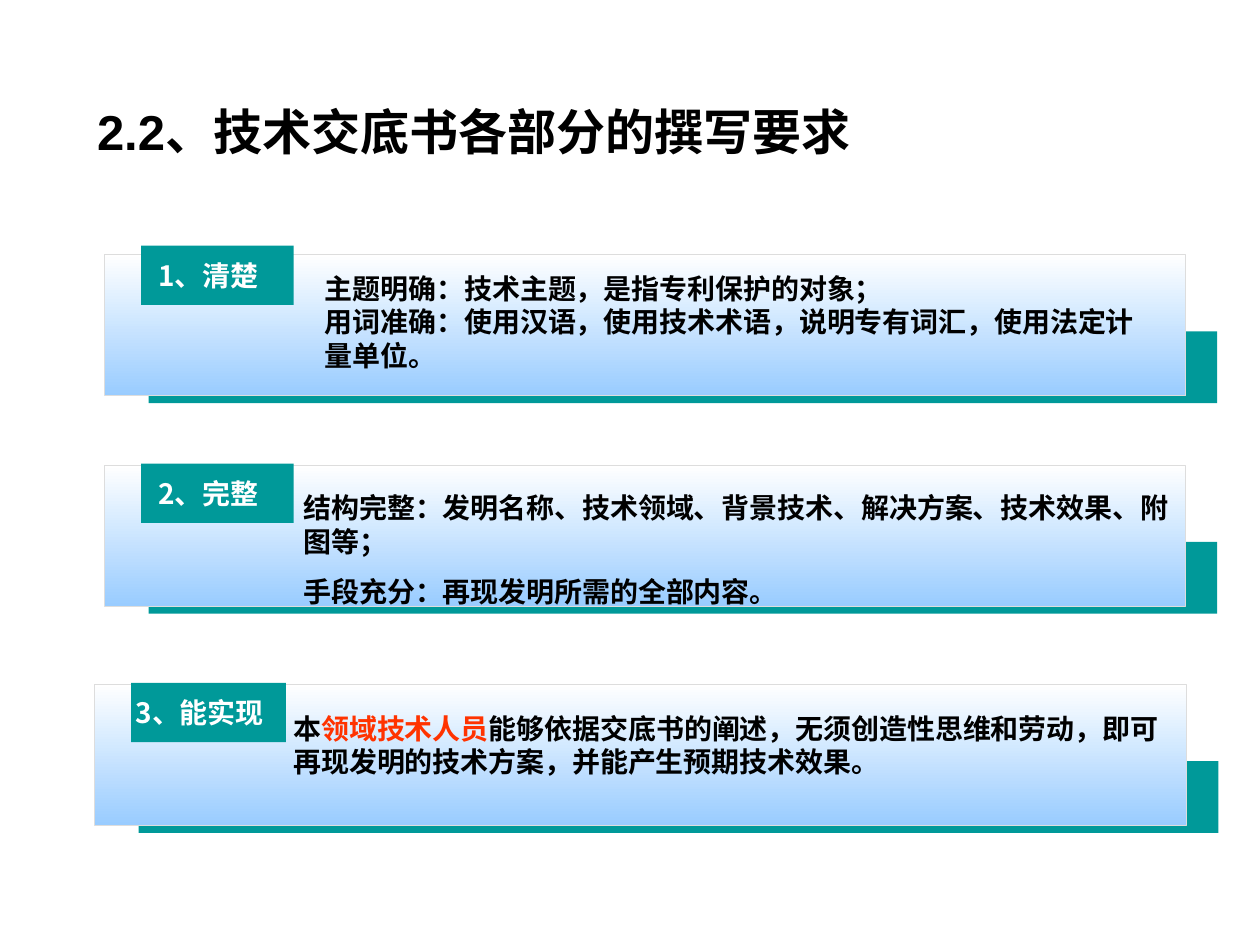
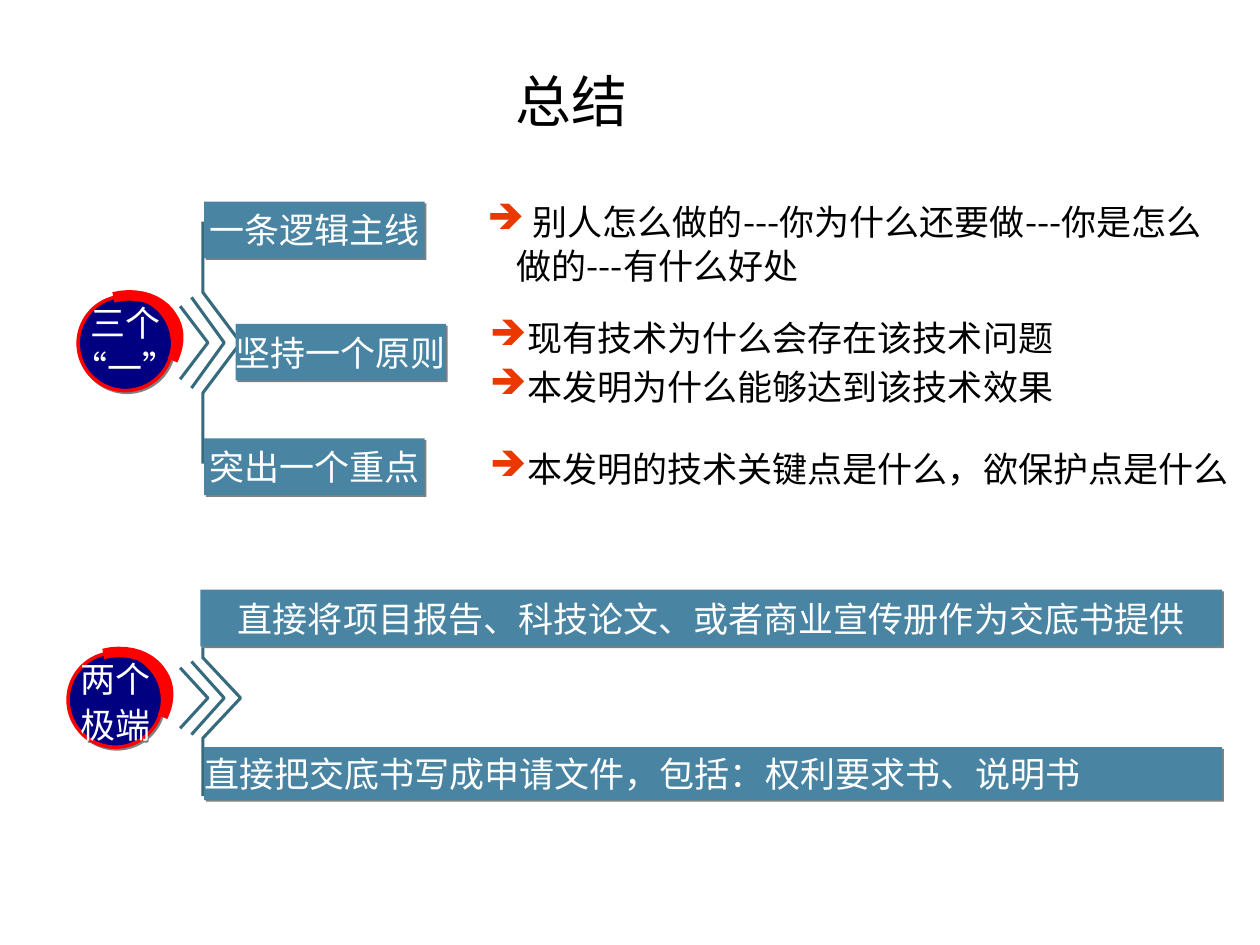
from lxml.etree import SubElement
from pptx import Presentation
from pptx.dml.color import RGBColor
from pptx.enum.shapes import MSO_SHAPE
from pptx.enum.text import MSO_ANCHOR, PP_ALIGN
from pptx.oxml.ns import qn
from pptx.util import Pt

PX = 9144  # 100 px to the inch
CJK = "Noto Sans CJK SC"
BLACK, WHITE, RED = "000000", "FFFFFF", "FF0000"
TEAL, STEEL, STEEL_LINE, NAVY = "009999", "4985A3", "366B7E", "000080"
rgb = RGBColor.from_string


def box(s, kind, at, fill=None, shadow=False):
    """Add a shape, or a text box when there is no fill."""
    at = [v * PX for v in at]
    if fill is None:
        sp = s.shapes.add_textbox(*at)
    else:
        sp = s.shapes.add_shape(kind, *at)
        sp.fill.solid()
        sp.fill.fore_color.rgb = rgb(fill)
        sp.line.fill.background()
        sp.shadow.inherit = False
        sp.text_frame.vertical_anchor = MSO_ANCHOR.MIDDLE
    if shadow:
        effects = sp._element.spPr.find(qn("a:effectLst"))
        shade = SubElement(effects, qn("a:outerShdw"), dist="17780", dir="2700000",
                           algn="ctr", rotWithShape="0")
        SubElement(shade, qn("a:srgbClr"), val="808080")
    sp.text_frame.word_wrap = fill is None
    return sp


def write(p, runs, size, font=CJK, bold=False, align=PP_ALIGN.LEFT, leading=None):
    """Fill a paragraph with (text, colour) runs."""
    p.alignment = align
    p.space_before = Pt(0)
    if leading:
        p.line_spacing = Pt(leading)
    for text, colour in runs:
        r = p.add_run()
        r.text = text
        r.font.size = Pt(size)
        r.font.bold = bold
        r.font.name = font
        r.font.color.rgb = rgb(colour)
        SubElement(r._r.get_or_add_rPr(), qn("a:ea"), typeface=CJK)


prs = Presentation()
prs.slide_width, prs.slide_height = 1000 * PX, 750 * PX

# Titles: text, place, size, font, bold, alignment, anchor, leading
titles = [
    ("2.2、技术交底书各部分的撰写要求", (67, 75, 833, 57), 28, "Arial", True,
     PP_ALIGN.LEFT, MSO_ANCHOR.MIDDLE, None),
    ("总结", (4, 43, 900, 92), 32, CJK, False,
     PP_ALIGN.CENTER, MSO_ANCHOR.TOP, 42),
]
slides = []
for text, at, size, font, bold, align, anchor, leading in titles:
    s = prs.slides.add_slide(prs.slide_layouts[5])
    title = s.shapes.title
    title.left, title.top, title.width, title.height = [v * PX for v in at]
    title.text_frame.vertical_anchor = anchor
    write(title.text_frame.paragraphs[0], [(text, BLACK)], size, font, bold, align, leading)
    slides.append(s)

# Slide 1: three requirement cards
s = slides[0]
cards = [
    # label, card left, top, width, label top, label width, text place, gap, paragraphs
    ("1、清楚", 83, 202, 858, 195, 121, (229, 211, 691, 117), 0,
     [[("主题明确：技术主题，是指专利保护的对象；", BLACK)],
      [("用词准确：使用汉语，使用技术术语，说明专有词汇，使用法定计量单位。", BLACK)]]),
    ("2、完整", 83, 369, 858, 368, 121, (212, 385, 745, 104), 10,
     [[("结构完整：发明名称、技术领域、背景技术、解决方案、技术效果、附图等；", BLACK)],
      [("手段充分：再现发明所需的全部内容。", BLACK)]]),
    ("3、能实现", 75, 543, 867, 542, 123, (204, 560, 736, 64), 10,
     [[("本", BLACK), ("领域技术人员", "FF3300"),
       ("能够依据交底书的阐述，无须创造性思维和劳动，即可再现发明的技术方案，"
        "并能产生预期技术效果。", BLACK)]]),
]
for label, x, y, w, label_y, label_w, text_at, gap, paragraphs in cards:
    # Teal backing and gradient panel
    box(s, MSO_SHAPE.RECTANGLE, (x + 35, y + 61, w - 10, 57), TEAL)
    panel = box(s, MSO_SHAPE.RECTANGLE, (x, y, w, 112), WHITE)
    panel.fill.gradient()
    panel.fill.gradient_angle = 270
    for stop, colour in zip(panel.fill.gradient_stops, (WHITE, "99CCFF")):
        stop.color.rgb = rgb(colour)
    panel.line.color.rgb = rgb("DDDDDD")
    panel.line.width = Pt(0.5)

    # Label
    tf = box(s, MSO_SHAPE.RECTANGLE, (x + 29, label_y, label_w, 47), TEAL).text_frame
    tf.margin_left, tf.margin_right = 0, 14 * PX
    write(tf.paragraphs[0], [(label, WHITE)], 16, bold=True, align=PP_ALIGN.CENTER)

    # Explanation
    tf = box(s, None, text_at).text_frame
    for i, runs in enumerate(paragraphs):
        p = tf.add_paragraph() if i else tf.paragraphs[0]
        p._p.get_or_add_pPr().set("marL", str(19 * PX))
        write(p, runs, 16, "Arial", True, leading=19)
        if i:
            p.space_before = Pt(gap)

# Slide 2: two round heads, each with an arc and chevrons
s = slides[1]
arc_curves = [((28, 1), (48, -4), (67, 3), (75, 17)),
              ((75, 17), (81, 26), (81, 39), (75, 51))]
heads = [
    # lines, left, top, chevron middle, half heights of the chevrons and bracket
    (("三个", "“一”"), 62, 235, 272, (29, 36, 40, 96)),
    (("两个", "极端"), 54, 518, 554, (24, 29, 32, 78)),
]
for lines, x, y, mid, (small, large, inner, outer) in heads:
    circle = box(s, MSO_SHAPE.OVAL, (x, y, 75, 75), NAVY, shadow=True)
    circle.line.color.rgb = rgb(RED)
    circle.line.width = Pt(2)
    tf = circle.text_frame
    for i, text in enumerate(lines):
        p = tf.add_paragraph() if i else tf.paragraphs[0]
        write(p, [(text, WHITE)], 20, align=PP_ALIGN.CENTER, leading=26)

    # Points along the two Bezier curves of the arc
    arc = []
    for a, b, c, d in arc_curves:
        for t in [n / 10 for n in range(11)]:
            weights = ((1 - t) ** 3, 3 * t * (1 - t) ** 2, 3 * t * t * (1 - t), t ** 3)
            arc.append([start + sum(k * q[axis] for k, q in zip(weights, (a, b, c, d)))
                        for axis, start in enumerate((x, y))])

    outlines = [
        (arc, RED, 6),
        ([(143, mid - small), (165, mid), (143, mid + small)], STEEL_LINE, 1.75),
        ([(152, mid - large), (178, mid), (152, mid + large)], STEEL_LINE, 1.75),
        ([(161, mid + outer), (161, mid + inner), (191, mid),
          (161, mid - inner), (161, mid - outer)], STEEL_LINE, 1.75),
    ]
    for points, colour, width in outlines:
        points = [(px * PX, py * PX) for px, py in points]
        fb = s.shapes.build_freeform(*points[0])
        fb.add_line_segments(points[1:], close=False)
        sp = fb.convert_to_shape()
        sp.fill.background()
        sp.line.color.rgb = rgb(colour)
        sp.line.width = Pt(width)
        sp.shadow.inherit = False

# Blue bars
bars = [
    ("突出一个重点", (162, 348, 175, 45), PP_ALIGN.CENTER),
    ("一条逻辑主线", (162, 160, 175, 45), PP_ALIGN.CENTER),
    ("坚持一个原则", (187, 257, 167, 45), PP_ALIGN.CENTER),
    ("直接把交底书写成申请文件，包括：权利要求书、说明书", (162, 593, 808, 42), PP_ALIGN.LEFT),
    ("直接将项目报告、科技论文、或者商业宣传册作为交底书提供", (159, 468, 811, 45),
     PP_ALIGN.CENTER),
]
for text, at, align in bars:
    tf = box(s, MSO_SHAPE.RECTANGLE, at, STEEL, shadow=True).text_frame
    tf.margin_left = tf.margin_right = tf.margin_top = tf.margin_bottom = 0
    tf.word_wrap = align == PP_ALIGN.LEFT
    write(tf.paragraphs[0], [(text, WHITE)], 20, align=align)

# Arrow lists beside the bars
lists = [
    ((377, 152, 600, 80), [" 别人怎么做的---你为什么还要做---你是怎么做的---有什么好处"]),
    ((379, 348, 627, 45), ["本发明的技术关键点是什么，欲保护点是什么"]),
    ((379, 244, 550, 84), ["现有技术为什么会存在该技术问题", "本发明为什么能够达到该技术效果"]),
]
for at, items in lists:
    tf = box(s, None, at).text_frame
    for i, text in enumerate(items):
        p = tf.add_paragraph() if i else tf.paragraphs[0]
        pPr = p._p.get_or_add_pPr()
        pPr.set("marL", str(23 * PX))
        pPr.set("indent", str(-23 * PX))
        SubElement(SubElement(pPr, qn("a:buClr")), qn("a:srgbClr"), val="EA3800")
        SubElement(pPr, qn("a:buChar"), char="➔")
        write(p, [(text, BLACK)], 20, leading=25.5)
        if i:
            p.space_before = Pt(2.5)

prs.save("out.pptx")
